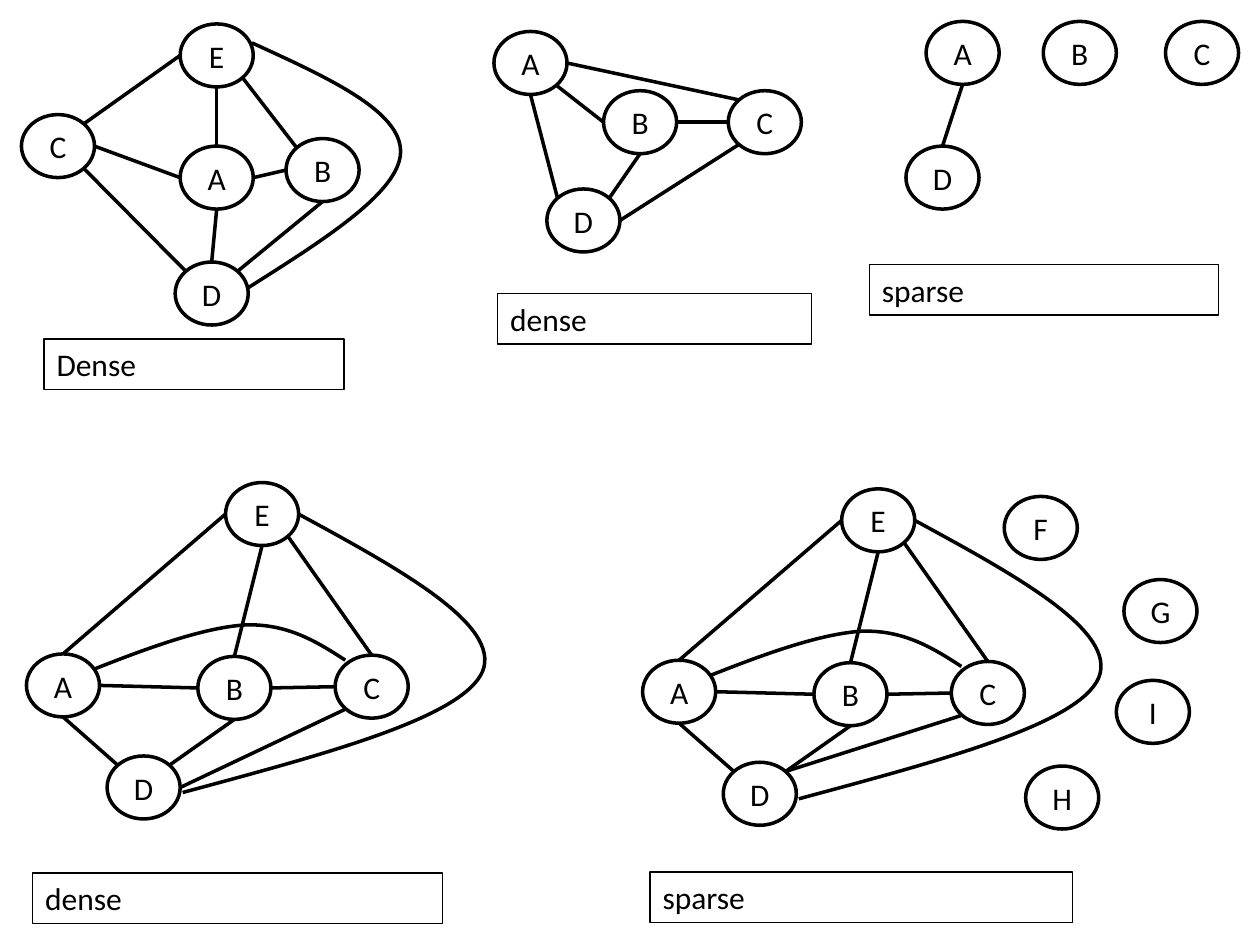
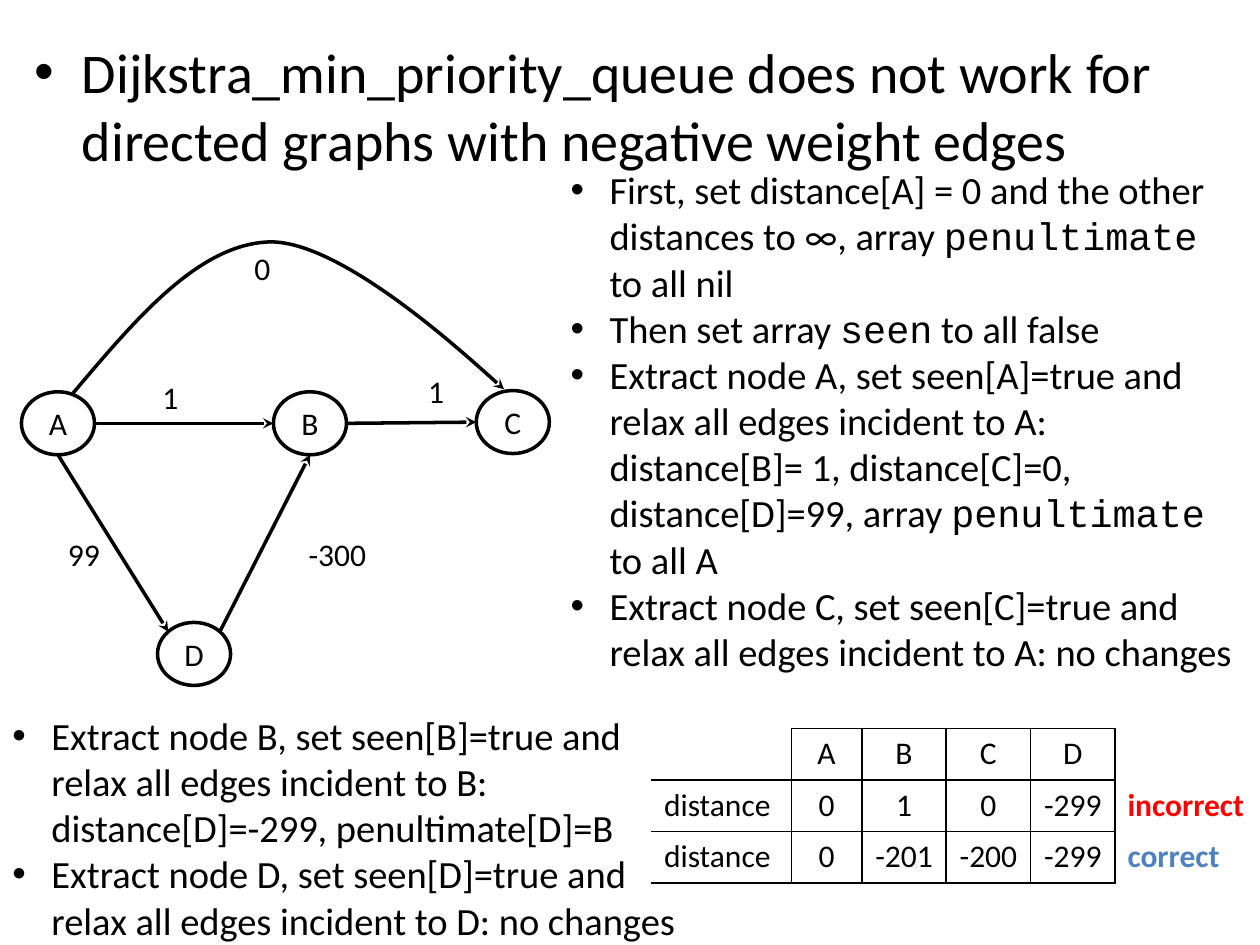
from pptx import Presentation
from pptx.dml.color import RGBColor
from pptx.enum.shapes import MSO_CONNECTOR, MSO_SHAPE
from pptx.enum.text import MSO_ANCHOR, MSO_AUTO_SIZE, PP_ALIGN
from pptx.oxml import parse_xml
from pptx.oxml.ns import nsdecls, qn
from pptx.oxml.xmlchemy import OxmlElement
from pptx.util import Emu, Pt

PX = 9144  # 100 px to the inch
BLACK = RGBColor(0x00, 0x00, 0x00)
RED = RGBColor(0xFF, 0x00, 0x00)
BLUE = RGBColor(0x4F, 0x81, 0xBD)
OVAL, RECTANGLE = MSO_SHAPE.OVAL, MSO_SHAPE.RECTANGLE
STRAIGHT = MSO_CONNECTOR.STRAIGHT
TOP, MIDDLE = MSO_ANCHOR.TOP, MSO_ANCHOR.MIDDLE
LEFT, CENTER = PP_ALIGN.LEFT, PP_ALIGN.CENTER
FIXED, GROW = MSO_AUTO_SIZE.NONE, MSO_AUTO_SIZE.SHAPE_TO_FIT_TEXT

BODY_FONT, CODE_FONT = "Calibri", "Courier New"
NODE_WIDTH, NODE_HEIGHT = 58, 50
LABEL_HEIGHT = 40
ROW_HEIGHT = 41
DIAGONAL = 0.5 ** 0.5
COMPASS = {
    "n": (0, -1), "s": (0, 1), "w": (-1, 0), "e": (1, 0),
    "nw": (-DIAGONAL, -DIAGONAL), "ne": (DIAGONAL, -DIAGONAL),
    "sw": (-DIAGONAL, DIAGONAL), "se": (DIAGONAL, DIAGONAL),
}


def px(value):
    return Emu(round(value * PX))


def apply(target, **formats):
    for name, value in formats.items():
        setattr(target, name, value)


class Sketch:
    """Draws graphs, notes and tables on the current slide."""

    def __init__(self, deck):
        self.deck = deck
        self.page = None

    def new_page(self, layout):
        self.page = self.deck.slides.add_slide(self.deck.slide_layouts[layout])

    def fill_para(self, para, text, size=18, color=BLACK, bold=False, align=LEFT):
        """Fill a paragraph; words between backticks take the code font."""
        para.alignment = align
        for index, part in enumerate(text.split("`")):
            span = para.add_run()
            span.text = part
            font = CODE_FONT if index % 2 else BODY_FONT
            apply(span.font, name=font, size=Pt(size), bold=bold)
            span.font.color.rgb = color

    def outline(self, shape, width=2, arrow=False):
        shape.line.width = Pt(width)
        shape.line.color.rgb = BLACK
        properties = shape._element.spPr
        if arrow:
            tail = OxmlElement("a:tailEnd")
            tail.set("type", "stealth")
            properties.find(qn("a:ln")).append(tail)
        properties.append(OxmlElement("a:effectLst"))

    def caption(self, left, top, width, text):
        box = self.page.shapes.add_shape(
            RECTANGLE, px(left), px(top), px(width), px(LABEL_HEIGHT))
        box.fill.background()
        self.outline(box, width=0.75)
        apply(box.text_frame, word_wrap=True, auto_size=GROW, vertical_anchor=TOP)
        self.fill_para(box.text_frame.paragraphs[0], text)

    def node(self, group, name, left, top):
        oval = group.shapes.add_shape(
            OVAL, px(left), px(top), px(NODE_WIDTH), px(NODE_HEIGHT))
        oval.fill.background()
        self.outline(oval)
        apply(oval.text_frame, word_wrap=True, vertical_anchor=MIDDLE)
        self.fill_para(oval.text_frame.paragraphs[0], name, align=CENTER)

    def curve(self, group, points, arrow):
        """Draw cubic curves: a start, then two controls and an end for each."""
        start, *rest = [(px(x), px(y)) for x, y in points]
        builder = group.shapes.build_freeform(*start)
        builder.add_line_segments(rest, close=False)
        shape = builder.convert_to_shape()
        segments = list(shape._element.iter(qn("a:lnTo")))
        for first in range(0, len(segments), 3):
            bezier = OxmlElement("a:cubicBezTo")
            segments[first].addprevious(bezier)
            for segment in segments[first:first + 3]:
                bezier.append(segment[0])
                segment.getparent().remove(segment)
        shape.fill.background()
        self.outline(shape, arrow=arrow)

    def edge(self, group, ends, arrow):
        line = group.shapes.add_connector(STRAIGHT, *(px(v) for end in ends for v in end))
        self.outline(line, arrow=arrow)

    def graph(self, nodes, edges, curves=(), offset=(0, 0), arrow=False):
        """Edges read "Ae-Bw": from the east side of A to the west side of B."""
        group = self.page.shapes.add_group_shape()
        right, down = offset
        places = {name: (x + right, y + down) for name, (x, y) in nodes.items()}

        def side(site):
            left, top = places[site[0]]
            across, along = COMPASS[site[1:]]
            return (left + NODE_WIDTH / 2 * (1 + across),
                    top + NODE_HEIGHT / 2 * (1 + along))

        for name, place in places.items():
            self.node(group, name, *place)
        for points in curves:
            self.curve(group, [(x + right, y + down) for x, y in points], arrow)
        for edge in edges.split():
            self.edge(group, [side(site) for site in edge.split("-")], arrow)
        return group

    def weight(self, group, left, top, width, text):
        box = group.shapes.add_textbox(px(left), px(top), px(width), px(LABEL_HEIGHT))
        apply(box.text_frame, word_wrap=True, auto_size=GROW)
        self.fill_para(box.text_frame.paragraphs[0], text)

    def bullets(self, frame, items, size, indent):
        for index, item in enumerate(items):
            para = frame.add_paragraph() if index else frame.paragraphs[0]
            self.fill_para(para, item, size=size)
            properties = para._p.get_or_add_pPr()
            properties.set("marL", str(px(indent)))
            properties.set("indent", str(px(-indent)))
            for tag, key, value in (("a:buFont", "typeface", "Arial"),
                                    ("a:buChar", "char", "•")):
                mark = OxmlElement(tag)
                mark.set(key, value)
                properties.append(mark)

    def headline(self, left, top, width, height, text):
        title = self.page.shapes.title
        title._element.getparent().remove(title._element)
        body = self.page.placeholders[1]
        apply(body, left=px(left), top=px(top), width=px(width), height=px(height))
        body.text_frame.auto_size = FIXED
        self.bullets(body.text_frame, [text], size=32, indent=38)

    def steps(self, left, top, width, height, items):
        box = self.page.shapes.add_textbox(px(left), px(top), px(width), px(height))
        apply(box.text_frame, word_wrap=True, auto_size=GROW)
        self.bullets(box.text_frame, items, size=22, indent=31)

    def borders(self, cell, sides):
        properties = cell._tc.get_or_add_tcPr()
        for index, side in enumerate("LRTB"):
            fill = (f'<a:solidFill><a:srgbClr val="{BLACK}"/></a:solidFill>'
                    if side in sides else "<a:noFill/>")
            properties.insert(index, parse_xml(
                f'<a:ln{side} {nsdecls("a")} w="{Pt(1)}">{fill}</a:ln{side}>'))

    def distances(self, left, top, widths, rows, verdicts):
        """Draw a ruled grid with open row names and an unruled verdict column."""
        frame = self.page.shapes.add_table(
            len(rows), len(widths), px(left), px(top),
            px(sum(widths)), px(ROW_HEIGHT * len(rows)))
        table = frame.table
        apply(table, first_row=False, horz_banding=False)
        for column, width in zip(table.columns, widths):
            column.width = px(width)
        last = len(widths) - 1
        for y, texts in enumerate(rows):
            table.rows[y].height = px(ROW_HEIGHT)
            for x, text in enumerate(texts):
                cell = table.cell(y, x)
                cell.fill.background()
                sides = "L" if x == last else "RB"
                if 0 < x < last:
                    sides = "LRTB"
                elif x == 0 and y > 0:
                    sides = "RTB"
                self.borders(cell, sides)
                self.fill_para(cell.text_frame.paragraphs[0], text,
                               color=verdicts.get(text, BLACK), bold=text in verdicts,
                               align=CENTER if 0 < x < last else LEFT)


def density_page(sketch):
    sketch.new_page(6)
    for caption in ((395, 233, 249, "dense"), (35, 269, 238, "Dense"),
                    (690, 210, 277, "sparse"), (516, 692, 335, "sparse"),
                    (26, 693, 325, "dense")):
        sketch.caption(*caption)

    sketch.graph(
        {"A": (143, 116), "D": (139, 208), "B": (227, 110), "C": (17, 91), "E": (143, 19)},
        "Ae-Bw Aw-Ce As-Dn Dne-Bs An-Es Ese-Bnw Ew-Cne Cse-Dnw",
        [[(200, 34), (259, 61), (319, 88), (318, 121), (317, 153), (256, 191), (196, 229)]])
    sketch.graph(
        {"A": (392, 25), "D": (434, 150), "B": (479, 72), "C": (578, 72)},
        "Ase-Bw Be-Cw As-Dnw Dne-Bs Csw-De Ae-Cnw")
    sketch.graph(
        {"A": (735, 17), "D": (719, 116), "B": (828, 17), "C": (925, 17)}, "As-Dn")

    nodes = {"A": (21, 519), "D": (85, 600), "B": (157, 521),
             "C": (266, 520), "E": (179, 383)}
    edges = "Ae-Bw Be-Cw As-Dnw Dne-Bs An-Ew Es-Bn Ese-Cn "
    curves = [
        [(75, 531), (118, 514), (162, 498), (195, 496), (228, 495), (251, 509), (274, 524)],
        [(237, 408), (318, 452), (398, 496), (383, 533), (367, 570), (256, 599), (145, 629)],
    ]
    loners = {"F": (308, 389), "I": (397, 535), "G": (403, 455), "H": (325, 603)}
    sketch.graph(nodes, edges + "Csw-De", curves)
    sketch.graph(nodes | loners, edges + "Csw-Dne", curves, offset=(489, 5))


def dijkstra_page(sketch):
    sketch.new_page(1)
    graph = sketch.graph(
        {"A": (17, 311), "D": (125, 494), "B": (217, 311), "C": (378, 310)},
        "Ae-Bw Be-Cw As-Dnw Dne-Bs",
        [[(58, 312), (108, 253), (158, 193), (215, 192), (272, 192), (390, 300), (400, 309)]],
        arrow=True)
    for weight in ((119, 295, 57, "1"), (330, 290, 57, "1"), (44, 420, 57, "99"),
                   (192, 193, 57, "0"), (235, 420, 95, "-300")):
        sketch.weight(graph, *weight)

    sketch.headline(17, 25, 967, 116, "Dijkstra_min_priority_queue does not work for "
                    "directed graphs with negative weight edges")
    sketch.steps(443, 127, 550, 417, [
        "First, set distance[A] = 0 and the other distances to ∞, "
        "array `penultimate` to all nil",
        "Then set array `seen` to all false",
        "Extract node A, set seen[A]=true and relax all edges incident to A: "
        "distance[B]= 1, distance[C]=0, distance[D]=99, array `penultimate` to all A",
        "Extract node C, set seen[C]=true and relax all edges incident to A: no changes",
    ])
    sketch.steps(0, 560, 558, 195, [
        "Extract node B, set seen[B]=true and relax all edges incident to B: "
        "distance[D]=-299, penultimate[D]=B",
        "Extract node D, set seen[D]=true and relax all edges incident to D: no changes",
    ])
    sketch.distances(517, 578, [111, 56, 67, 67, 67, 125], [
        ["", "A", "B", "C", "D", ""],
        ["distance", "0", "1", "0", "-299", "incorrect"],
        ["distance", "0", "-201", "-200", "-299", "correct"],
    ], {"incorrect": RED, "correct": BLUE})


def main():
    deck = Presentation()
    apply(deck, slide_width=px(1000), slide_height=px(750))
    sketch = Sketch(deck)
    density_page(sketch)
    dijkstra_page(sketch)
    deck.save("out.pptx")


if __name__ == "__main__":
    main()
